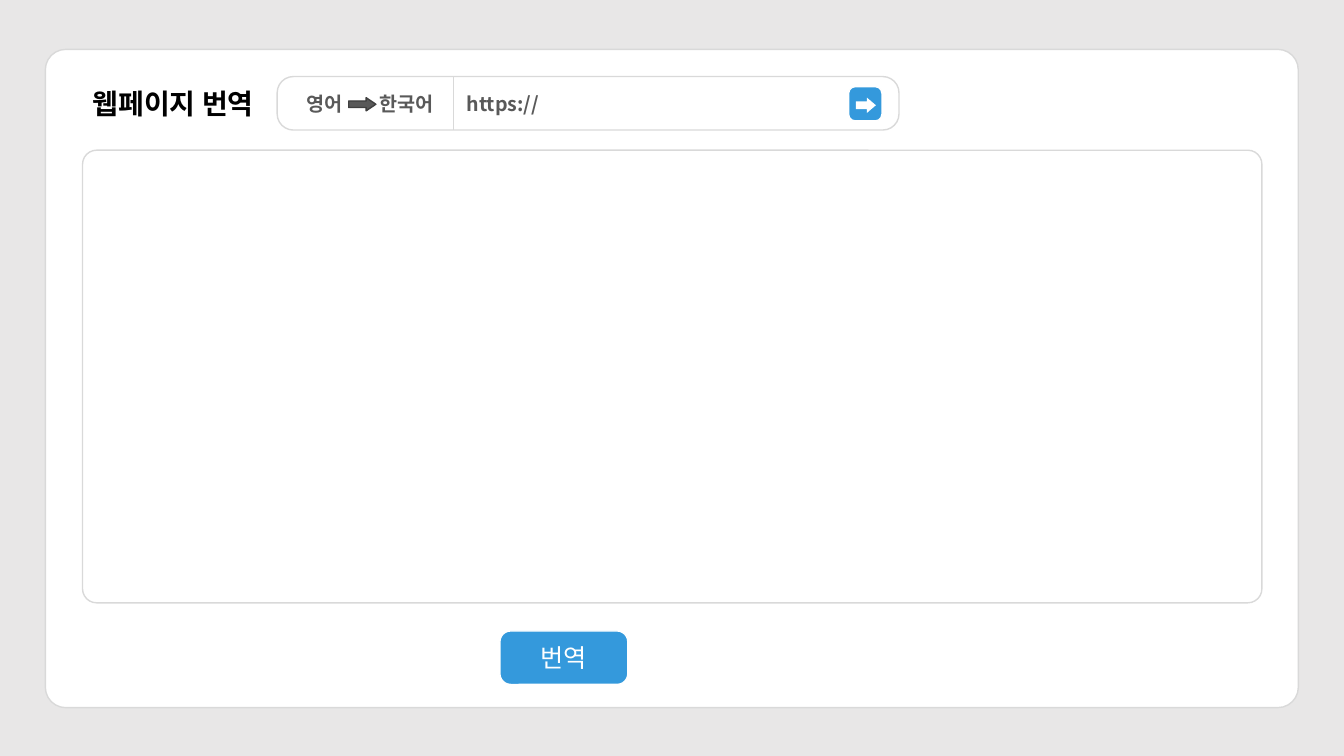
from dataclasses import dataclass

from lxml import etree
from pptx import Presentation
from pptx.dml.color import RGBColor
from pptx.enum.shapes import MSO_CONNECTOR, MSO_SHAPE
from pptx.enum.text import MSO_ANCHOR, MSO_AUTO_SIZE, PP_ALIGN
from pptx.oxml.ns import qn
from pptx.util import Pt

ROUND = MSO_SHAPE.ROUNDED_RECTANGLE
ARROW = MSO_SHAPE.RIGHT_ARROW
STRAIGHT = MSO_CONNECTOR.STRAIGHT
MIDDLE = MSO_ANCHOR.MIDDLE
CENTER = PP_ALIGN.CENTER
GROW = MSO_AUTO_SIZE.SHAPE_TO_FIT_TEXT


@dataclass(frozen=True)
class Theme:
    font: str = "Noto Sans CJK KR"
    background: RGBColor = RGBColor(0xE8, 0xE7, 0xE7)
    white: RGBColor = RGBColor(0xFF, 0xFF, 0xFF)
    black: RGBColor = RGBColor(0x00, 0x00, 0x00)
    border: RGBColor = RGBColor(0xD9, 0xD9, 0xD9)
    gray: RGBColor = RGBColor(0x59, 0x59, 0x59)
    dark: RGBColor = RGBColor(0x40, 0x40, 0x40)
    blue: RGBColor = RGBColor(0x34, 0x99, 0xDC)
    title_size: int = 20
    button_size: int = 18
    field_size: int = 14


theme = Theme()


def add_box(kind, box, adjustments, fill, line):
    sp = s.shapes.add_shape(kind, *map(Pt, box))
    sp.shadow.inherit = False
    for i, value in enumerate(adjustments):
        sp.adjustments[i] = value
    sp.fill.solid()
    sp.fill.fore_color.rgb = fill
    if line is None:
        sp.line.fill.background()
    else:
        sp.line.color.rgb = line
        sp.line.width = Pt(1)
    return sp


def set_text(tf, text, size, color, bold):
    p = tf.paragraphs[0]
    p.text = text
    r = p.runs[0]
    r.font.name = theme.font
    r.font.size = Pt(size)
    r.font.bold = bold
    r.font.color.rgb = color
    ea = etree.SubElement(r.font._element, qn("a:ea"))
    ea.set("typeface", theme.font)


prs = Presentation()
prs.slide_width = Pt(960)
prs.slide_height = Pt(540)
s = prs.slides.add_slide(prs.slide_layouts[6])
s.background.fill.solid()
s.background.fill.fore_color.rgb = theme.background

bar_top, bar_height = 54.7, 38.2
divider_x = 324

panels = [
    ((32.4, 35.3, 895, 470.2), 0.031),
    ((59, 107.3, 842.4, 323.3), 0.031),
    ((198, bar_top, 444.2, bar_height), 0.303),
]
for box, radius in panels:
    add_box(ROUND, box, [radius], theme.white, theme.border)

button = add_box(ROUND, (357.1, 450.7, 91.4, bar_height), [0.202], theme.blue, theme.white)
button.text_frame.vertical_anchor = MIDDLE
set_text(button.text_frame, "번역", theme.button_size, theme.white, False)
button.text_frame.paragraphs[0].alignment = CENTER

divider = s.shapes.add_connector(
    STRAIGHT, Pt(divider_x), Pt(bar_top), Pt(divider_x), Pt(bar_top + bar_height)
)
divider.line.color.rgb = theme.border
divider.line.width = Pt(1)
etree.SubElement(divider._element.spPr, qn("a:effectLst"))

labels = [
    ("웹페이지 번역", (59, 58.3, 236.9, 31.7), theme.title_size, theme.black),
    ("영어", (211.7, 61.9, 50, 24.5), theme.field_size, theme.gray),
    ("한국어", (264.2, 61.9, 59, 24.5), theme.field_size, theme.gray),
    ("https://", (326.2, 61.9, 126.7, 24.5), theme.field_size, theme.gray),
]
for text, box, size, color in labels:
    tf = s.shapes.add_textbox(*map(Pt, box)).text_frame
    tf.word_wrap = True
    tf.auto_size = GROW
    set_text(tf, text, size, color, True)

add_box(ARROW, (249.1, 69.8, 19.4, 9.4), [0.5, 0.736], theme.gray, theme.dark)
add_box(ROUND, (606.2, 61.9, 23.8, 24.5), [0.202], theme.blue, theme.white)
add_box(ARROW, (611.3, 69.8, 14.4, 10.8), [0.5, 0.59], theme.white, None)

prs.save("out.pptx")
